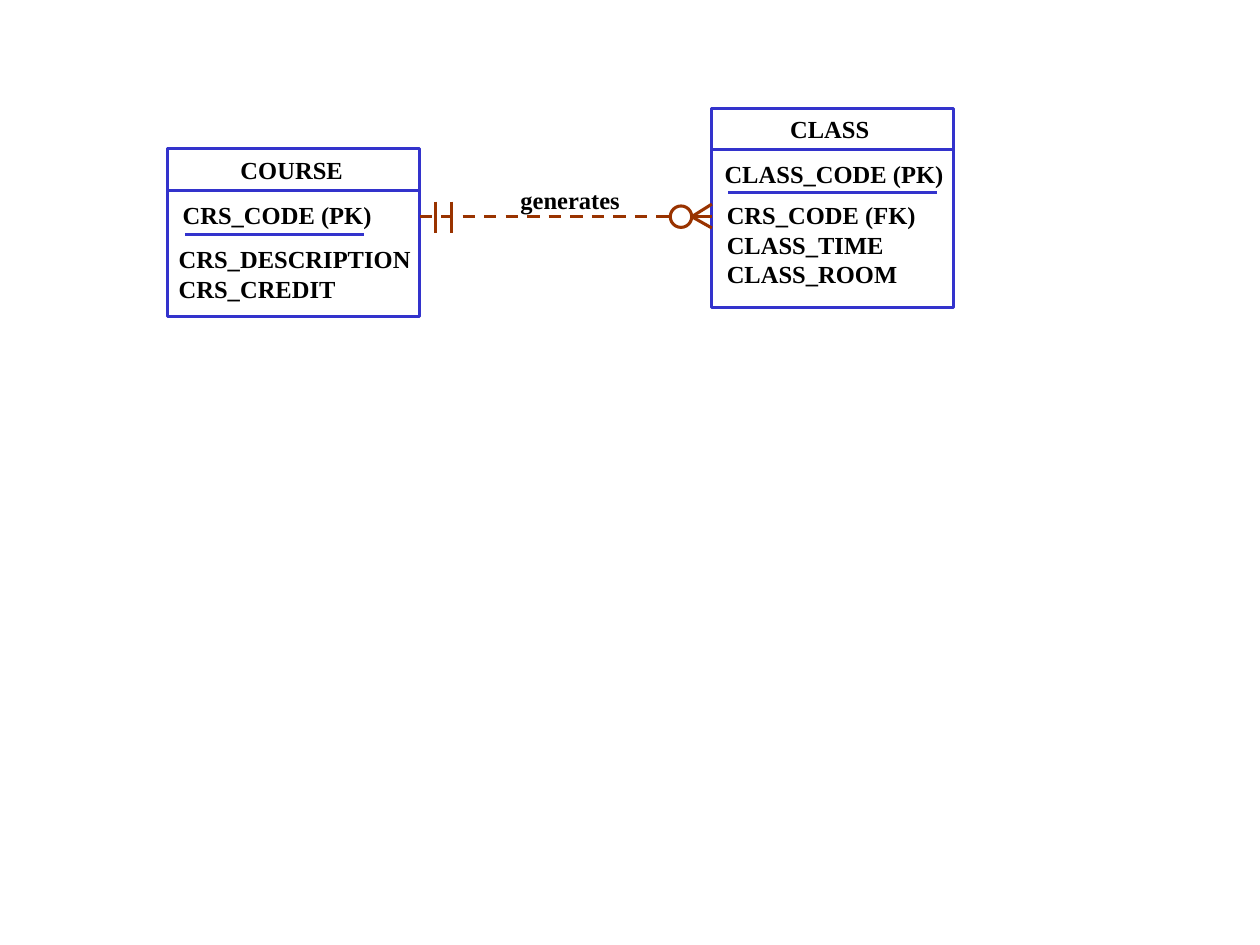
from pptx import Presentation
from pptx.dml.color import RGBColor
from pptx.enum import dml, shapes, text
from pptx.oxml.ns import qn
from pptx.util import Inches, Pt
from lxml import etree

BLUE = RGBColor(0x33, 0x33, 0xCC)
BROWN = RGBColor(0x99, 0x33, 0x00)
BLACK = RGBColor(0, 0, 0)
WHITE = RGBColor(0xFF, 0xFF, 0xFF)
LINE_WIDTH = Pt(1.75)
HEADER = 0.33


def add_text(slide, box, content, font="Times New Roman", size=14, bold=True,
             color=BLACK, align=text.PP_ALIGN.CENTER):
    tf = slide.shapes.add_textbox(*map(Inches, box)).text_frame
    tf.word_wrap = False
    tf.auto_size = text.MSO_AUTO_SIZE.SHAPE_TO_FIT_TEXT
    for i, line in enumerate(content.split("\n")):
        p = tf.paragraphs[0] if i == 0 else tf.add_paragraph()
        p.alignment = align
        r = p.add_run()
        r.text = line
        r.font.name, r.font.size, r.font.bold = font, Pt(size), bold
        r.font.color.rgb = color


def add_line(slide, x1, y1, x2, y2, color, dash=None):
    c = slide.shapes.add_connector(shapes.MSO_CONNECTOR.STRAIGHT,
                                   *map(Inches, (x1, y1, x2, y2)))
    c.line.color.rgb = color
    c.line.width = LINE_WIDTH
    if dash:
        c.line.dash_style = dash
    etree.SubElement(c._element.spPr, qn("a:effectLst"))


def add_outline(slide, kind, box, color, fill=None):
    sp = slide.shapes.add_shape(kind, *map(Inches, box))
    sp.shadow.inherit = False
    sp.line.color.rgb = color
    sp.line.width = LINE_WIDTH
    if fill is None:
        sp.fill.background()
    else:
        sp.fill.solid()
        sp.fill.fore_color.rgb = fill


def add_entity(slide, box, name, name_box, key, key_box, rule, fields, fields_box):
    """Draw an entity; inner boxes and the key rule are relative to its corner."""
    x, y, w, h = box

    def inside(part):
        return x + part[0], y + part[1], part[2], part[3]

    add_outline(slide, shapes.MSO_SHAPE.RECTANGLE, box, BLUE)
    # Header
    add_line(slide, x, y + HEADER, x + w, y + HEADER, BLUE)
    add_text(slide, inside(name_box), name)
    # Primary key and its rule
    add_text(slide, inside(key_box), key)
    start, end, drop = rule
    add_line(slide, x + start, y + drop, x + end, y + drop, BLUE)
    # Other attributes
    add_text(slide, inside(fields_box), fields, align=text.PP_ALIGN.LEFT)


def add_relationship(slide, left, right, y, label, label_box):
    """Draw a one-to-many link between two entity edges."""
    add_text(slide, label_box, label)
    # Exactly one: two bars
    for offset in (0.13, 0.25):
        add_line(slide, left + offset, y - 0.12, left + offset, y + 0.13, BROWN)
    # Many: crow's foot
    for spread in (-0.1, 0.09):
        add_line(slide, right - 0.16, y, right, y + spread, BROWN)
    add_line(slide, right - 0.25, y, right, y, BROWN)
    # Optional: circle
    size = 0.17
    add_outline(slide, shapes.MSO_SHAPE.OVAL,
                (right - 0.33, y - size / 2, size, size), BROWN, WHITE)
    # Link
    add_line(slide, left, y, right - 0.32, y, BROWN, dml.MSO_LINE.DASH)


def main():
    prs = Presentation()
    prs.slide_width, prs.slide_height = Inches(10), Inches(7.5)
    slide = prs.slides.add_slide(prs.slide_layouts[6])

    course = (1.33, 1.18, 2, 1.33)
    class_ = (5.65, 0.86, 1.92, 1.58)
    add_entity(slide, course, "COURSE", (0.48, 0, 1.01, 0.34),
               "CRS_CODE (PK)", (0.02, 0.36, 1.7, 0.34), (0.14, 1.56, 0.68),
               "CRS_DESCRIPTION\nCRS_CREDIT", (-0.01, 0.71, 2.04, 0.57))
    add_entity(slide, class_, "CLASS", (0.52, 0, 0.83, 0.34),
               "CLASS_CODE (PK)", (0, 0.35, 1.94, 0.34), (0.13, 1.79, 0.67),
               "CRS_CODE (FK)\nCLASS_TIME\nCLASS_ROOM", (0.02, 0.68, 1.7, 0.8))
    add_relationship(slide, course[0] + course[2], class_[0], 1.72,
                     "generates", (4.03, 1.42, 0.99, 0.34))

    prs.save("out.pptx")


if __name__ == "__main__":
    main()
